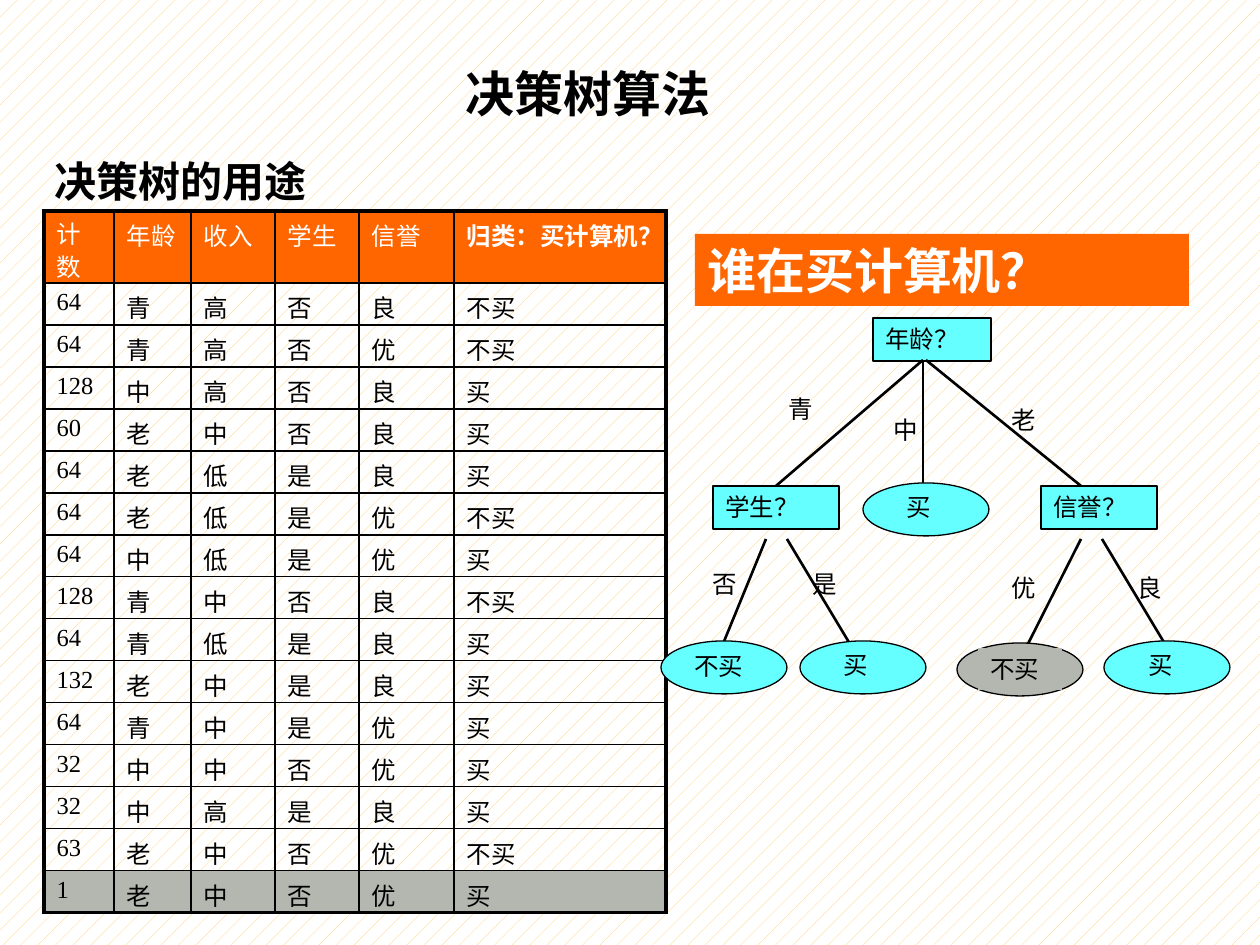
from pptx import Presentation
from pptx.dml.color import RGBColor
from pptx.enum.dml import MSO_PATTERN
from pptx.enum.shapes import MSO_CONNECTOR, MSO_SHAPE
from pptx.enum.text import MSO_ANCHOR, MSO_AUTO_SIZE, PP_ALIGN
from pptx.oxml.ns import qn
from pptx.util import Inches, Pt
from lxml.etree import SubElement

PX = 7257
ORANGE, CYAN, GRAY, BLACK, WHITE = "FF6600", "66FFFF", "B4B6B0", "000000", "FFFFFF"
rgb = RGBColor.from_string


def write(tf, text, size=14, color=BLACK, bold=False, wrap=True):
    frame = {"word_wrap": wrap, "auto_size": MSO_AUTO_SIZE.NONE, "vertical_anchor": MSO_ANCHOR.TOP}
    for name, value in frame.items():
        setattr(tf, name, value)
    p = tf.paragraphs[0]
    p.alignment = PP_ALIGN.LEFT
    r = p.add_run()
    r.text = text
    for name, value in {"name": "Times New Roman", "size": Pt(size), "bold": bold}.items():
        setattr(r.font, name, value)
    r.font.color.rgb = rgb(color)


def add_node(shapes, kind, box, fill, outlined=True):
    sp = shapes.add_shape(kind, *[v * PX for v in box])
    sp.shadow.inherit = False
    sp.fill.solid()
    sp.fill.fore_color.rgb = rgb(fill)
    if outlined:
        sp.line.color.rgb = rgb(BLACK)
        sp.line.width = Pt(0.75)
    else:
        sp.line.fill.background()
    return sp


prs = Presentation()
prs.slide_width, prs.slide_height = Inches(10), Inches(7.5)
s = prs.slides.add_slide(prs.slide_layouts[5])
bg = s.background.fill
bg.patterned()
bg.pattern = MSO_PATTERN.PERCENT_5
bg.fore_color.rgb = rgb("FFCC66")
bg.back_color.rgb = rgb(WHITE)

title = s.shapes.title
title.left, title.top, title.width, title.height = [v * PX for v in (453, 57, 271, 72)]
write(title.text_frame, "决策树算法", 28, bold=True, wrap=False)

rows = [line.split() for line in """计数 年龄 收入 学生 信誉 归类：买计算机？
64 青 高 否 良 不买
64 青 高 否 优 不买
128 中 高 否 良 买
60 老 中 否 良 买
64 老 低 是 良 买
64 老 低 是 优 不买
64 中 低 是 优 买
128 青 中 否 良 不买
64 青 低 是 良 买
132 老 中 是 良 买
64 青 中 是 优 买
32 中 中 否 优 买
32 中 高 是 良 买
63 老 中 否 优 不买
1 老 中 否 优 买""".splitlines()]
widths = [70, 77, 84, 84, 95, 212]
heights = [72] + [42] * 15
last_row, last_col = len(rows) - 1, len(widths) - 1
table = s.shapes.add_table(len(rows), len(widths), 44 * PX, 211 * PX,
                           sum(widths) * PX, sum(heights) * PX).table
table.first_row = table.horz_banding = False
for column, width in zip(table.columns, widths):
    column.width = width * PX
for i, values in enumerate(rows):
    table.rows[i].height = heights[i] * PX
    for j, value in enumerate(values):
        cell = table.cell(i, j)
        header = i == 0
        write(cell.text_frame, value, color=WHITE if header else BLACK,
              bold=header and j == last_col)
        cell.margin_top, cell.margin_bottom = 6 * PX, 0
        if header and j == 0:
            cell.text_frame.paragraphs[0].line_spacing = 0.92
        tcPr = cell._tc.get_or_add_tcPr()
        edges = {"a:lnL": j == 0, "a:lnR": j == last_col, "a:lnT": i == 0, "a:lnB": i == last_row}
        for tag, outer in edges.items():
            ln = SubElement(tcPr, qn(tag), w=str(Pt(2.25 if outer else 1)))
            SubElement(SubElement(ln, qn("a:solidFill")), qn("a:srgbClr"), val=BLACK)
        if i in (0, last_row):
            cell.fill.solid()
            cell.fill.fore_color.rgb = rgb(ORANGE if header else GRAY)
        else:
            cell.fill.background()

banner = add_node(s.shapes, MSO_SHAPE.RECTANGLE, (695, 234, 494, 72), ORANGE, False)
write(banner.text_frame, "谁在买计算机？", 28, WHITE, True)

questions = [("年龄？", 873, 318, 118), ("学生？", 713, 486, 126), ("信誉？", 1041, 486, 116)]
for text, x, y, w in questions:
    sp = add_node(s.shapes, MSO_SHAPE.RECTANGLE, (x, y, w, 43), CYAN)
    write(sp.text_frame, text)

branches = [(923, 360, 776, 486), (923, 360, 923, 486), (926, 360, 1081, 486),
            (766, 539, 723, 644), (787, 539, 850, 644),
            (1081, 539, 1028, 644), (1102, 539, 1165, 644)]
for ends in branches:
    line = s.shapes.add_connector(MSO_CONNECTOR.STRAIGHT, *[v * PX for v in ends])
    line.line.color.rgb = rgb(BLACK)
    line.line.width = Pt(1.5)
    SubElement(line._element.spPr, qn("a:effectLst"))

leaves = [("买", 863, 483, 31, 3, CYAN), ("不买", 661, 641, 21, 4, CYAN),
          ("买", 1104, 641, 32, 3, CYAN), ("买", 800, 641, 31, 3, CYAN),
          ("不买", 957, 643, 21, 5, GRAY)]
for text, x, y, dx, dy, fill in leaves:
    leaf = s.shapes.add_group_shape().shapes
    add_node(leaf, MSO_SHAPE.OVAL, (x, y, 126, 53), fill)
    box = (x + dx, y + dy, 84, 42)
    if fill == GRAY:
        sp = add_node(leaf, MSO_SHAPE.RECTANGLE, box, fill, False)
    else:
        sp = leaf.add_textbox(*[v * PX for v in box])
    write(sp.text_frame, text)

labels = [("青", 776, 388, 50, 42, 14, False), ("中", 881, 409, 50, 42, 14, False),
          ("老", 999, 399, 50, 42, 14, False), ("否", 700, 563, 50, 42, 14, False),
          ("是", 800, 563, 50, 42, 14, False), ("优", 999, 567, 50, 42, 14, False),
          ("良", 1125, 567, 50, 42, 14, False),
          ("决策树的用途", 42, 149, 277, 63, 24, True)]
for text, x, y, w, h, size, bold in labels:
    sp = s.shapes.add_textbox(x * PX, y * PX, w * PX, h * PX)
    write(sp.text_frame, text, size, bold=bold, wrap=False)

prs.save("out.pptx")
